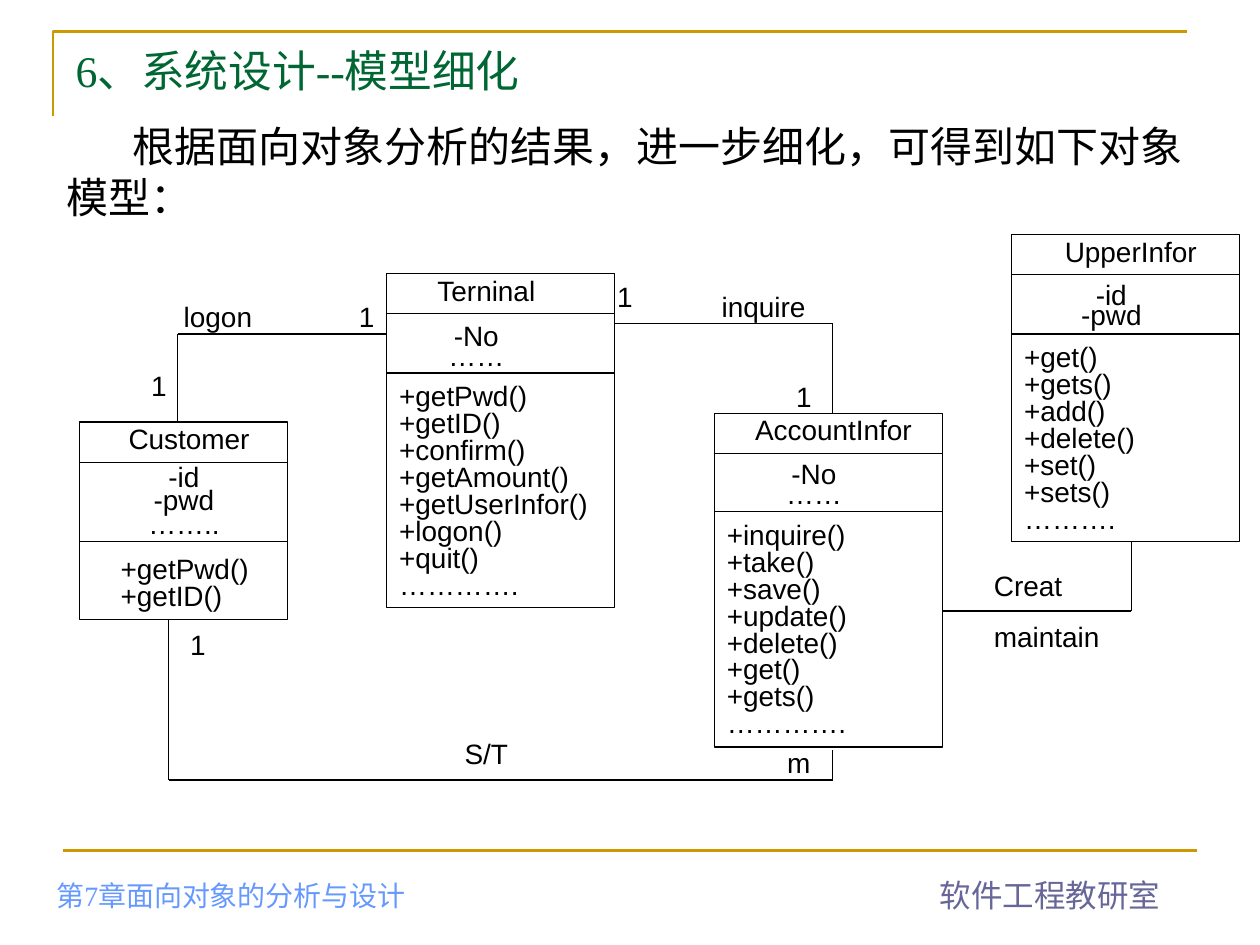
import pptx
import pptx.util
import pptx.dml.color
import pptx.enum.shapes
import pptx.enum.text
import pptx.oxml.ns
from lxml import etree

Inches = pptx.util.Inches
Pt = pptx.util.Pt
ALIGN = pptx.enum.text.PP_ALIGN
BLACK = "000000"
GOLD = "CC9900"

presentation = pptx.Presentation()
presentation.slide_width = Inches(10)
presentation.slide_height = Inches(7.5)
slide = presentation.slides.add_slide(presentation.slide_layouts[5])
rgb = pptx.dml.color.RGBColor.from_string


def write(box, lines, size=16, font="Arial", color=BLACK, align=ALIGN.LEFT,
          spacing=1.0, gap=0, wrap=True):
    """Fill a text holder with one paragraph per line and return its frame."""
    frame = box.text_frame
    frame.word_wrap = wrap
    frame.vertical_anchor = pptx.enum.text.MSO_ANCHOR.TOP
    for index, line in enumerate(lines):
        paragraph = frame.add_paragraph() if index else frame.paragraphs[0]
        paragraph.alignment = align
        paragraph.line_spacing = spacing
        paragraph.space_before = Pt(gap if index else 0)
        run = paragraph.add_run()
        run.text = line
        run.font.size = Pt(size)
        run.font.name = font
        run.font.color.rgb = rgb(color)
    return frame


def draw_line(start, end, color=BLACK, width=0.75):
    connector = slide.shapes.add_connector(
        pptx.enum.shapes.MSO_CONNECTOR.STRAIGHT,
        *[Inches(value) for value in (*start, *end)])
    connector.line.color.rgb = rgb(color)
    connector.line.width = Pt(width)
    etree.SubElement(connector._element.spPr, pptx.oxml.ns.qn("a:effectLst"))


# Frame around the page
builder = slide.shapes.build_freeform(Inches(0.42), Inches(0.92))
builder.add_line_segments(
    [(Inches(0.42), Inches(0.25)), (Inches(9.42), Inches(0.25))], close=False)
corner = builder.convert_to_shape()
corner.shadow.inherit = False
corner.fill.background()
corner.line.color.rgb = rgb(GOLD)
corner.line.width = Pt(1.5)
draw_line((0.5, 6.75), (9.5, 6.75), GOLD, 1.5)

# Title, introduction and footer
title = slide.shapes.title
title.left, title.top = Inches(0.5), Inches(0.3)
title.width, title.height = Inches(9), Inches(0.87)
write(title, ["6、系统设计--模型细化"], 25, "Times New Roman", "006633")

introduction = slide.shapes.add_textbox(Inches(0.43), Inches(0.91), Inches(9.14), Inches(0.9))
introduction_frame = write(
    introduction, ["根据面向对象分析的结果，进一步细化，可得到如下对象模型："], 24)
introduction_frame.paragraphs[0]._p.get_or_add_pPr().set("indent", str(Inches(0.52)))

department = slide.shapes.add_textbox(Inches(7.36), Inches(6.9), Inches(1.95), Inches(0.4))
write(department, ["软件工程教研室"], 18, color="666699", wrap=False)
chapter = slide.shapes.add_textbox(Inches(0.35), Inches(6.98), Inches(4.1), Inches(0.31))
chapter_frame = write(chapter, ["第7章面向对象的分析与设计"], 16, "Times New Roman", "6699FF")
chapter_frame.vertical_anchor = pptx.enum.text.MSO_ANCHOR.BOTTOM

# Classes: outline, second divider below the top, name box (left, width),
# attribute box (left, width, offset, line spacing), operation box (left, width, offset)
classes = [
    ("Customer", (0.63, 3.35, 1.65, 1.57), 0.95, (0.79, 1.42),
     (0.79, 1.34, 0.32, 0.7), ["-id", "-pwd", "…….."],
     (0.86, 1.34, 1.03), ["+getPwd()", "+getID()"]),
    ("UpperInfor", (8.03, 1.86, 1.81, 2.44), 0.79, (8.11, 1.73),
     (8.11, 1.42, 0.39, 0.6), ["-id", "-pwd"],
     (8.03, 1.97, 0.84),
     ["+get()", "+gets()", "+add()", "+delete()", "+set()", "+sets()", "………."]),
    ("Terninal", (3.07, 2.17, 1.81, 2.65), 0.79, (3.15, 1.42),
     (3.07, 1.42, 0.4, 0.6), ["-No", "……"],
     (3.07, 1.97, 0.84),
     ["+getPwd()", "+getID()", "+confirm()", "+getAmount()",
      "+getUserInfor()", "+logon()", "+quit()", "…………."]),
    ("AccountInfor", (5.67, 3.28, 1.81, 2.65), 0.78, (5.75, 1.73),
     (5.75, 1.42, 0.39, 0.6), ["-No", "……"],
     (5.67, 1.97, 0.83),
     ["+inquire()", "+take()", "+save()", "+update()",
      "+delete()", "+get()", "+gets()", "…………."]),
]
for (name, outline, divider, name_span, attribute_box, attributes,
     operation_box, operations) in classes:
    left, top, width, height = outline
    rectangle = slide.shapes.add_shape(
        pptx.enum.shapes.MSO_SHAPE.RECTANGLE, *[Inches(value) for value in outline])
    rectangle.shadow.inherit = False
    rectangle.fill.background()
    rectangle.line.color.rgb = rgb(BLACK)
    rectangle.line.width = Pt(0.75)
    for offset in (0.32, divider):
        draw_line((left, top + offset), (left + width, top + offset))

    name_left, name_width = name_span
    attribute_left, attribute_width, attribute_offset, attribute_spacing = attribute_box
    operation_left, operation_width, operation_offset = operation_box
    compartments = [
        (name_left, 0, name_width, 0.32, [name], ALIGN.CENTER, 0.8),
        (attribute_left, attribute_offset, attribute_width,
         divider + 0.03 - attribute_offset, attributes, ALIGN.CENTER, attribute_spacing),
        (operation_left, operation_offset, operation_width,
         height - operation_offset, operations, ALIGN.LEFT, 0.8),
    ]
    for box_left, offset, box_width, box_height, lines, align, spacing in compartments:
        compartment = slide.shapes.add_textbox(
            Inches(box_left), Inches(top + offset), Inches(box_width), Inches(box_height))
        write(compartment, lines, align=align, spacing=spacing)

# Associations, each a chain of straight segments
associations = [
    [(1.41, 3.35), (1.41, 2.65), (3.07, 2.65)],
    [(4.88, 2.57), (6.61, 2.57), (6.61, 3.28)],
    [(8.98, 4.3), (8.98, 4.85), (7.48, 4.85)],
    [(1.34, 4.92), (1.34, 6.19), (6.61, 6.19), (6.61, 5.95)],
]
for corners in associations:
    for start, end in zip(corners, corners[1:]):
        draw_line(start, end)

labels = [
    (["1"], 0.55, 2.88, 0.87, 0.37, ALIGN.RIGHT),
    (["1"], 2.2, 2.33, 0.87, 0.37, ALIGN.RIGHT),
    (["logon"], 1.1, 2.33, 1.26, 0.37, ALIGN.CENTER),
    (["inquire"], 5.43, 2.25, 1.26, 0.37, ALIGN.CENTER),
    (["1"], 4.8, 2.17, 0.87, 0.37, ALIGN.LEFT),
    (["1"], 6.22, 2.96, 0.87, 0.37, ALIGN.LEFT),
    (["S/T"], 3.23, 5.8, 1.26, 0.37, ALIGN.CENTER),
    (["1"], 1.1, 4.93, 0.63, 0.37, ALIGN.RIGHT),
    (["m"], 5.9, 5.87, 0.63, 0.37, ALIGN.RIGHT),
    (["Creat", "maintain"], 7.79, 4.46, 1.1, 0.77, ALIGN.LEFT),
]
for lines, left, top, width, height, align in labels:
    label = slide.shapes.add_textbox(Inches(left), Inches(top), Inches(width), Inches(height))
    write(label, lines, align=align, gap=10)

presentation.save("out.pptx")
